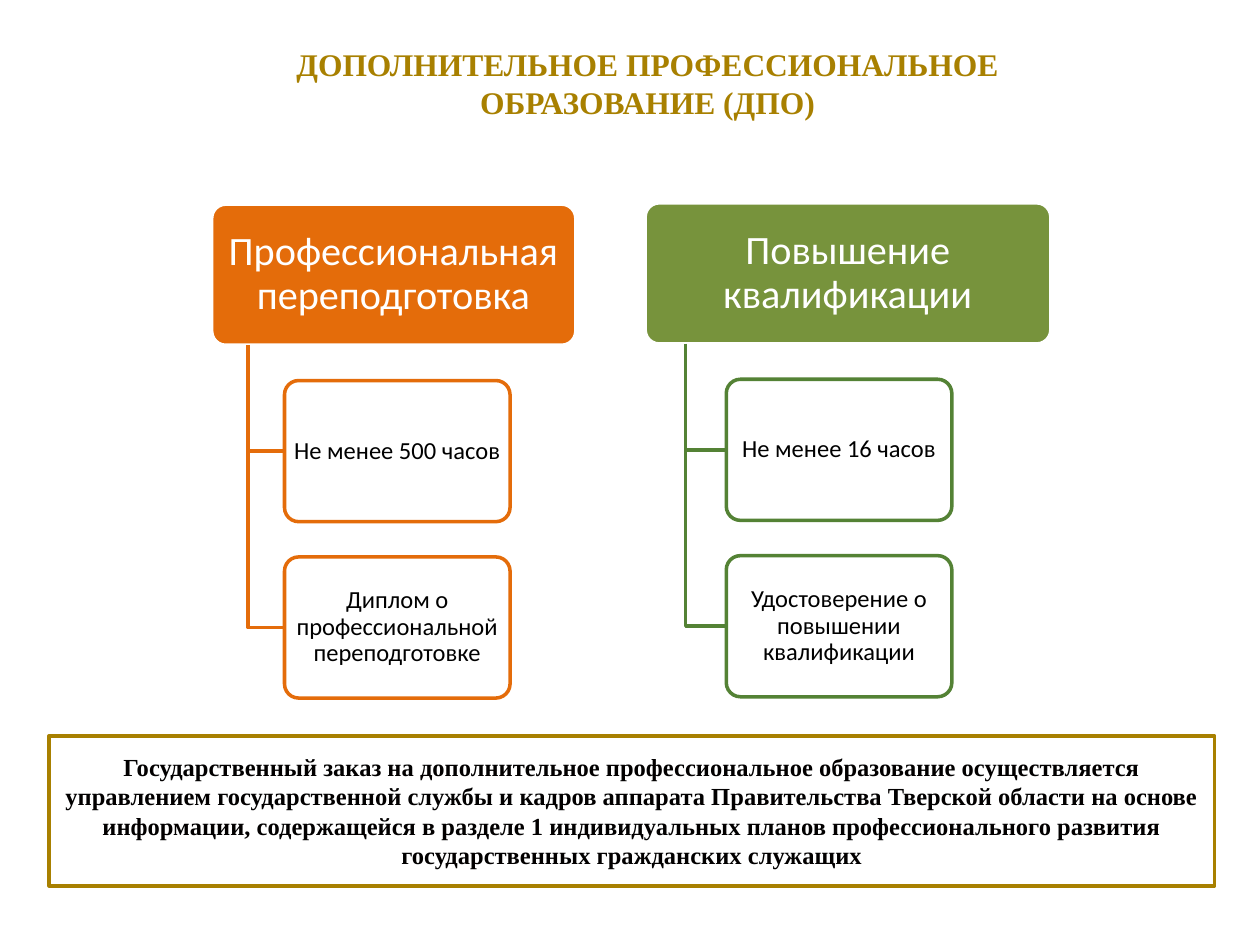
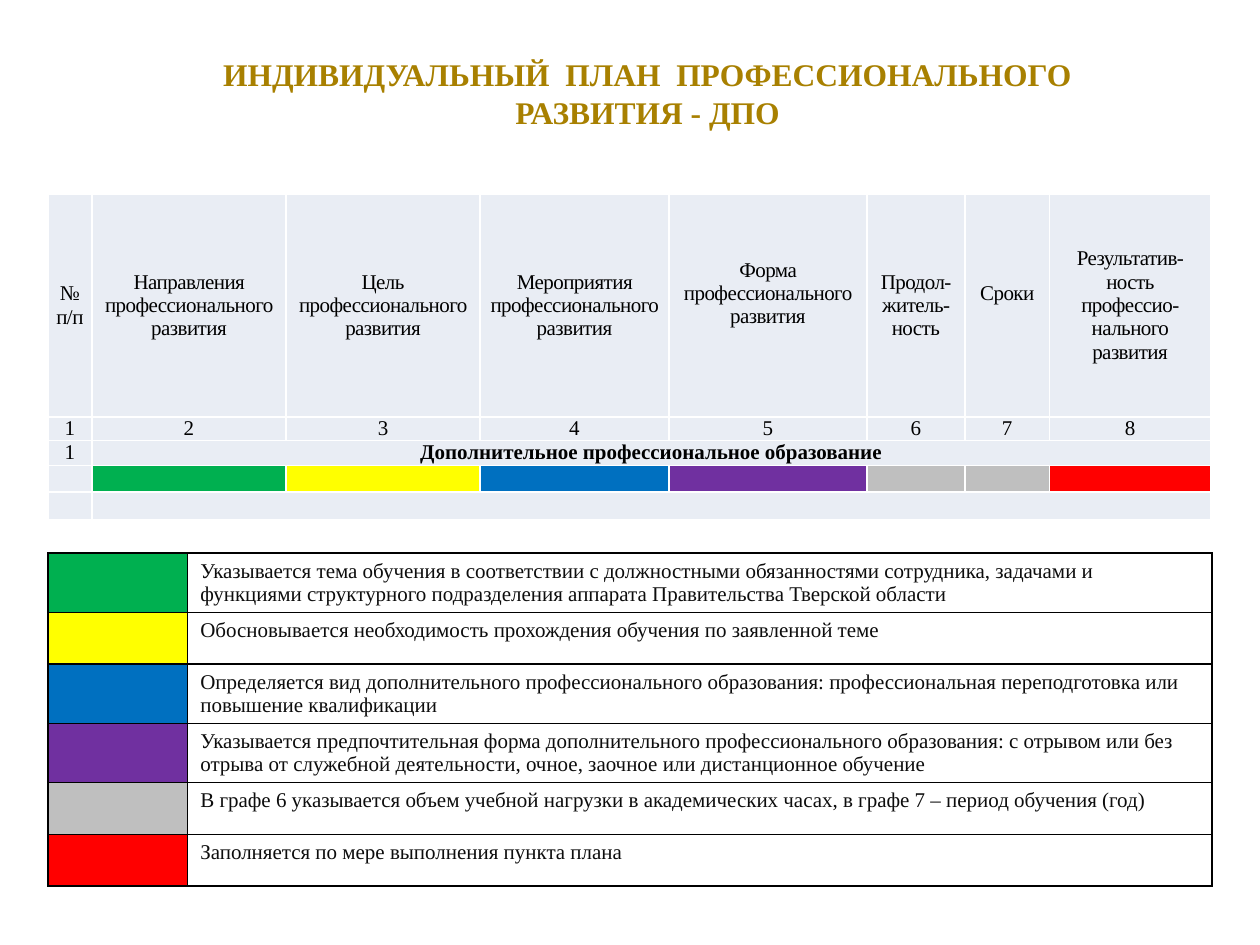
from collections import namedtuple

from lxml.etree import SubElement
from pptx import Presentation
from pptx.dml.color import RGBColor
from pptx.enum.shapes import MSO_SHAPE as Preset
from pptx.enum.text import MSO_ANCHOR as Anchor, MSO_AUTO_SIZE as AutoSize, PP_ALIGN as Align
from pptx.oxml.ns import qn
from pptx.util import Inches, Pt

Box = namedtuple("Box", "left top width height")

SERIF, SANS = "Times New Roman", "Calibri"
GOLD = RGBColor(0xA8, 0x80, 0x00)
WHITE = RGBColor(0xFF, 0xFF, 0xFF)
BLACK = RGBColor(0x00, 0x00, 0x00)
INK = RGBColor(0x0D, 0x0D, 0x0D)
NOTE_INK = RGBColor(0x02, 0x00, 0x00)
ORANGE = RGBColor(0xE4, 0x6C, 0x0A)
OLIVE = RGBColor(0x77, 0x93, 0x3C)
DARK_GREEN = RGBColor(0x54, 0x82, 0x35)
PALE = RGBColor(0xE9, 0xED, 0xF4)
GREEN = RGBColor(0x00, 0xB0, 0x50)
YELLOW = RGBColor(0xFF, 0xFF, 0x00)
BLUE = RGBColor(0x00, 0x70, 0xC0)
PURPLE = RGBColor(0x70, 0x30, 0xA0)
GREY = RGBColor(0xBF, 0xBF, 0xBF)
RED = RGBColor(0xFF, 0x00, 0x00)

TITLE_FONT = {"name": SERIF, "size": Pt(18), "bold": True, "color": GOLD}
HEAD_FONT = {"name": SANS, "size": Pt(23), "color": WHITE}
CARD_FONT = {"name": SANS, "size": Pt(14), "color": BLACK}
NOTE_FONT = {"name": SERIF, "size": Pt(14), "bold": True, "color": NOTE_INK}
PLAN_FONT = {"name": SERIF, "size": Pt(12), "bold": False, "color": BLACK}
LEGEND_FONT = {**PLAN_FONT, "color": INK}

COLUMNS = [
    ("№\nп/п", 0.35),
    ("Направления профессионального развития", 1.54),
    ("Цель\nпрофессионального развития", 1.54),
    ("Мероприятия профессионального развития", 1.5),
    ("Форма профессионального развития", 1.57),
    ("Продол-житель-ность", 0.78),
    ("Сроки", 0.67),
    ("Результатив-ность профессио-нального развития", 1.28),
]
RAISED_COLUMNS = (4, 6)
COLUMN_KEYS = [PALE, GREEN, YELLOW, BLUE, PURPLE, GREY, GREY, RED]
LEGEND = [
    (GREEN, 0.47, "Указывается тема обучения в соответствии с должностными обязанностями сотрудника, "
     "задачами и функциями структурного подразделения аппарата Правительства Тверской области"),
    (YELLOW, 0.41, "Обосновывается необходимость прохождения обучения по заявленной теме"),
    (BLUE, 0.47, "Определяется вид дополнительного профессионального образования: "
     "профессиональная переподготовка или повышение квалификации"),
    (PURPLE, 0.47, "Указывается предпочтительная форма дополнительного профессионального образования: "
     "с отрывом или без отрыва от служебной деятельности, очное, заочное или дистанционное обучение"),
    (GREY, 0.41, "В графе 6 указывается объем учебной нагрузки в академических часах, "
     "в графе 7 – период обучения (год)"),
    (RED, 0.41, "Заполняется по мере выполнения пункта плана"),
]


def write(frame, text, font, align=Align.CENTER, line_spacing=1.0, tracking=0):
    """Fill a text frame, one paragraph for each line of text."""
    frame.word_wrap = True
    frame.text = text
    for para in frame.paragraphs:
        para.alignment, para.line_spacing = align, line_spacing
        for span in para.runs:
            for name, value in font.items():
                if name == "color":
                    span.font.color.rgb = value
                else:
                    setattr(span.font, name, value)
            if tracking:
                span._r.get_or_add_rPr().set("spc", str(tracking))


def set_margins(holder, **margins):
    """Set the named margins of a cell or text frame, in inches."""
    for side, size in margins.items():
        setattr(holder, f"margin_{side}", Inches(size))


def outline(shape, color):
    """Give a shape the common 2 pt line and no shadow."""
    shape.shadow.inherit = False
    shape.line.color.rgb = color
    shape.line.width = Pt(2)


def add_page(deck, title, top, height):
    """Add a title-only slide with the gold heading."""
    page = deck.slides.add_slide(deck.slide_layouts[5])
    heading = page.shapes.title
    box = Box(1.41, top, 7.46, height)
    for name, value in box._asdict().items():
        setattr(heading, name, Inches(value))
    frame = heading.text_frame
    frame.auto_size = AutoSize.NONE
    frame.vertical_anchor = Anchor.TOP
    write(frame, title, TITLE_FONT)
    return page


def add_card(page, box, text, font, fill, line, inset, opacity=100):
    """Draw a rounded card with centred text."""
    card = page.shapes.add_shape(Preset.ROUNDED_RECTANGLE, *map(Inches, box))
    card.adjustments[0] = 0.1
    card.fill.solid()
    card.fill.fore_color.rgb = fill
    if opacity < 100:
        color = card._element.spPr.find(qn("a:solidFill"))[0]
        SubElement(color, qn("a:alpha"), val=str(opacity * 1000))
    outline(card, line)
    x_inset, y_inset = inset
    set_margins(card.text_frame, left=x_inset, right=x_inset, top=y_inset, bottom=y_inset)
    card.text_frame.vertical_anchor = Anchor.MIDDLE
    write(card.text_frame, text, font, line_spacing=0.9)


def add_branch(page, start, end, color):
    """Draw an elbow that goes down from start, then across to end."""
    (left, top), (right, bottom) = start, end
    builder = page.shapes.build_freeform(Inches(left), Inches(top))
    corners = [(Inches(left), Inches(bottom)), (Inches(right), Inches(bottom))]
    builder.add_line_segments(corners, close=False)
    branch = builder.convert_to_shape()
    branch.fill.background()
    outline(branch, color)


def add_hierarchy(page, box, head, items, fill, line):
    """Draw a head card with the items that hang below it."""
    add_card(page, box, head, HEAD_FONT, fill, WHITE, (0.05, 0.03))
    stem = (box.left + 0.1 * box.width, box.top + box.height)
    card_left = box.left + 0.2 * box.width
    for step, item in enumerate(items, 1):
        card = Box(card_left, box.top + step * 1.25 * box.height, 1.79, box.height)
        add_branch(page, stem, (card.left, card.top + card.height / 2), line)
        add_card(page, card, item, CARD_FONT, WHITE, line, (0.03, 0.02), opacity=90)


def add_note(page, box, text):
    """Draw the outlined note at the foot of the slide."""
    note = page.shapes.add_shape(Preset.RECTANGLE, *map(Inches, box))
    note.fill.background()
    outline(note, GOLD)
    note.text_frame.vertical_anchor = Anchor.MIDDLE
    write(note.text_frame, text, NOTE_FONT)


def add_grid(page, box, widths, heights, border):
    """Add a plain table with 1 pt borders and return it."""
    frame = page.shapes.add_table(len(heights), len(widths), *map(Inches, box))
    grid = frame.table
    grid.first_row = grid.horz_banding = False
    for column, width in zip(grid.columns, widths):
        column.width = Inches(width)
    for row, height in zip(grid.rows, heights):
        row.height = Inches(height)
    for cell in grid.iter_cells():
        properties = cell._tc.get_or_add_tcPr()
        for side in "LRTB":
            edge = SubElement(properties, qn(f"a:ln{side}"), w=str(Pt(1)))
            paint = SubElement(edge, qn("a:solidFill"))
            SubElement(paint, qn("a:srgbClr"), val=str(border))
        # Empty cells keep the small text size, so that rows do not grow.
        SubElement(cell.text_frame.paragraphs[0]._p, qn("a:endParaRPr"), sz="1200")
    return grid


def paint_cell(cell, color):
    """Fill a cell with one colour."""
    cell.fill.solid()
    cell.fill.fore_color.rgb = color


def add_plan_table(page, box):
    """Build the table of the individual plan."""
    heads, widths = zip(*COLUMNS)
    grid = add_grid(page, box, widths, [1.77, 0.18, 0.2, 0.21, 0.22], WHITE)
    for cell in grid.iter_cells():
        paint_cell(cell, PALE)
        set_margins(cell, left=0.06, right=0.06, top=0, bottom=0)
    for index, (head, key) in enumerate(zip(heads, COLUMN_KEYS)):
        for row, text in enumerate((head, str(index + 1))):
            cell = grid.cell(row, index)
            cell.vertical_anchor = Anchor.MIDDLE
            write(cell.text_frame, text, PLAN_FONT, tracking=-30)
        paint_cell(grid.cell(3, index), key)
    for index in RAISED_COLUMNS:
        set_margins(grid.cell(0, index), bottom=0.19)
    for row in (2, 4):
        grid.cell(row, 1).merge(grid.cell(row, len(COLUMNS) - 1))
    write(grid.cell(2, 0).text_frame, "1", PLAN_FONT)
    write(grid.cell(2, 1).text_frame, "Дополнительное профессиональное образование",
          {**PLAN_FONT, "bold": True})


def add_legend_table(page, box):
    """Build the table that explains the colours of the plan."""
    grid = add_grid(page, box, [1.11, 8.13], [height for _, height, _ in LEGEND], BLACK)
    for row, (color, _, text) in enumerate(LEGEND):
        paint_cell(grid.cell(row, 0), color)
        cell = grid.cell(row, 1)
        cell.fill.background()
        write(cell.text_frame, text, LEGEND_FONT, Align.LEFT)


def build_training_page(deck):
    """Build the slide on the two kinds of training."""
    page = add_page(deck, "ДОПОЛНИТЕЛЬНОЕ ПРОФЕССИОНАЛЬНОЕ ОБРАЗОВАНИЕ (ДПО)", 0.31, 0.59)
    add_hierarchy(page, Box(1.68, 1.62, 2.89, 1.12), "Профессиональная переподготовка",
                  ["Не менее 500 часов", "Диплом о профессиональной переподготовке"],
                  ORANGE, ORANGE)
    add_hierarchy(page, Box(5.12, 1.61, 3.22, 1.12), "Повышение квалификации",
                  ["Не менее 16 часов", "Удостоверение о повышении квалификации"],
                  OLIVE, DARK_GREEN)
    add_note(page, Box(0.39, 5.84, 9.25, 1.19),
             "Государственный заказ на дополнительное профессиональное образование осуществляется "
             "управлением государственной службы и кадров аппарата Правительства Тверской области "
             "на основе информации, содержащейся в разделе 1 индивидуальных планов "
             "профессионального развития государственных гражданских служащих")


def build_plan_page(deck):
    """Build the slide with the plan and its legend."""
    page = add_page(deck, "ИНДИВИДУАЛЬНЫЙ  ПЛАН  ПРОФЕССИОНАЛЬНОГО РАЗВИТИЯ - ДПО", 0.39, 0.1)
    add_plan_table(page, Box(0.38, 1.54, 9.23, 2.58))
    add_legend_table(page, Box(0.38, 4.39, 9.24, 2.64))


deck = Presentation()
deck.slide_width, deck.slide_height = Inches(10), Inches(7.5)
build_training_page(deck)
build_plan_page(deck)
deck.save("out.pptx")
